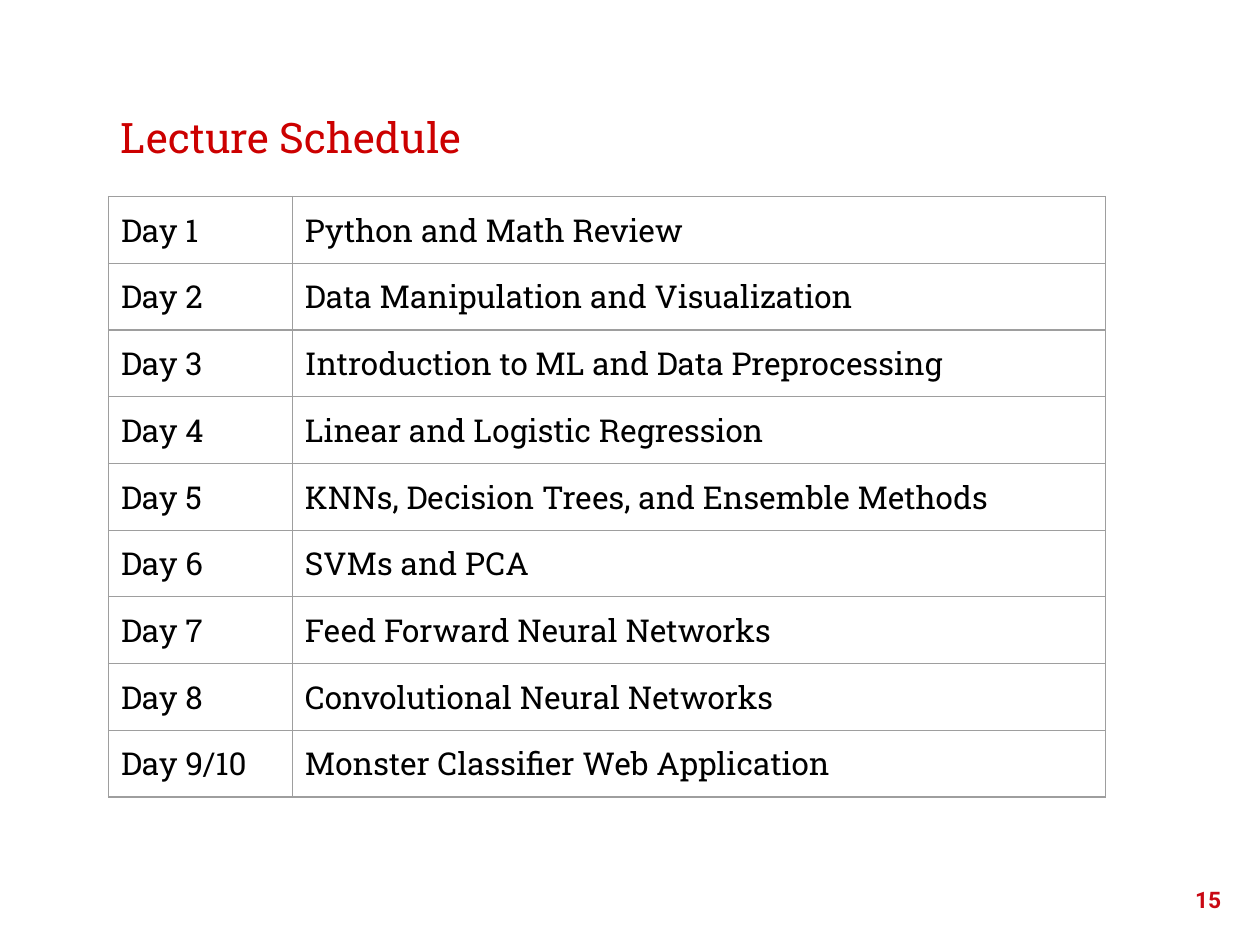
from dataclasses import dataclass

from lxml import etree
from pptx import Presentation
from pptx.dml.color import RGBColor
from pptx.enum.text import MSO_ANCHOR, PP_ALIGN
from pptx.oxml.ns import qn
from pptx.util import Pt

TOP, BOTTOM = MSO_ANCHOR.TOP, MSO_ANCHOR.BOTTOM
LEFT, RIGHT = PP_ALIGN.LEFT, PP_ALIGN.RIGHT


@dataclass(frozen=True)
class Style:
    """Font face, size, colour and weight of a text."""
    face: str
    size: float
    color: str
    bold: bool = False


@dataclass(frozen=True)
class Theme:
    """Colours, type and spacing of the slide."""
    title: Style = Style("Roboto Slab", 24, "CC0000")
    body: Style = Style("Roboto Slab", 18, "000000")
    page: Style = Style("Roboto", 13, "C90813", True)
    rule: str = "9E9E9E"
    line: float = 0.75
    pad: float = 7.2


THEME = Theme()
TOPICS = [
    ("Day 1", "Python and Math Review"),
    ("Day 2", "Data Manipulation and Visualization"),
    ("Day 3", "Introduction to ML and Data Preprocessing"),
    ("Day 4", "Linear and Logistic Regression"),
    ("Day 5", "KNNs, Decision Trees, and Ensemble Methods"),
    ("Day 6", "SVMs and PCA"),
    ("Day 7", "Feed Forward Neural Networks"),
    ("Day 8", "Convolutional Neural Networks"),
    ("Day 9/10", "Monster Classifier Web Application"),
]


def write(frame, text, style, align=LEFT):
    """Put one styled paragraph into a text frame."""
    para = frame.paragraphs[0]
    para.text = text
    para.alignment = align
    font = para.font
    font.name, font.size, font.bold = style.face, Pt(style.size), style.bold
    font.color.rgb = RGBColor.from_string(style.color)


def inset(item):
    """Give a cell or text frame equal margins."""
    for side in ("left", "right", "top", "bottom"):
        setattr(item, f"margin_{side}", Pt(THEME.pad))


def add_label(slide, box, text, style, anchor=TOP, align=LEFT):
    """Place a line of text in a box."""
    frame = slide.shapes.add_textbox(*map(Pt, box)).text_frame
    frame.word_wrap = True
    frame.vertical_anchor = anchor
    inset(frame)
    write(frame, text, style, align)


def add_rules(cell):
    """Draw a thin line on each side of a cell."""
    props = cell._tc.get_or_add_tcPr()
    for side in ("lnL", "lnR", "lnT", "lnB"):
        line = etree.SubElement(props, qn(f"a:{side}"), w=str(Pt(THEME.line)))
        fill = etree.SubElement(line, qn("a:solidFill"))
        etree.SubElement(fill, qn("a:srgbClr"), val=THEME.rule)


def add_plan(slide, box, rows, first):
    """Place the schedule table, its first column of a given width."""
    wide = box[2]
    table = slide.shapes.add_table(len(rows), 2, *map(Pt, box)).table
    table.first_row = table.horz_banding = False
    for col, width in zip(table.columns, (first, wide - first)):
        col.width = Pt(width)
    for r, texts in enumerate(rows):
        for c, text in enumerate(texts):
            cell = table.cell(r, c)
            inset(cell)
            write(cell.text_frame, text, THEME.body)
            add_rules(cell)
            cell.fill.background()


def main():
    """Build and save the slide."""
    deck = Presentation()
    deck.slide_width, deck.slide_height = Pt(720), Pt(540)
    slide = deck.slides.add_slide(deck.slide_layouts[6])
    add_label(slide, (62, 26.6, 596, 73.4), "Lecture Schedule", THEME.title, BOTTOM)
    add_label(slide, (661.7, 499, 43.2, 41), "15", THEME.page, align=RIGHT)
    add_plan(slide, (62, 112.3, 569.5, 38.15 * len(TOPICS)), TOPICS, 105.1)
    deck.save("out.pptx")


if __name__ == "__main__":
    main()
